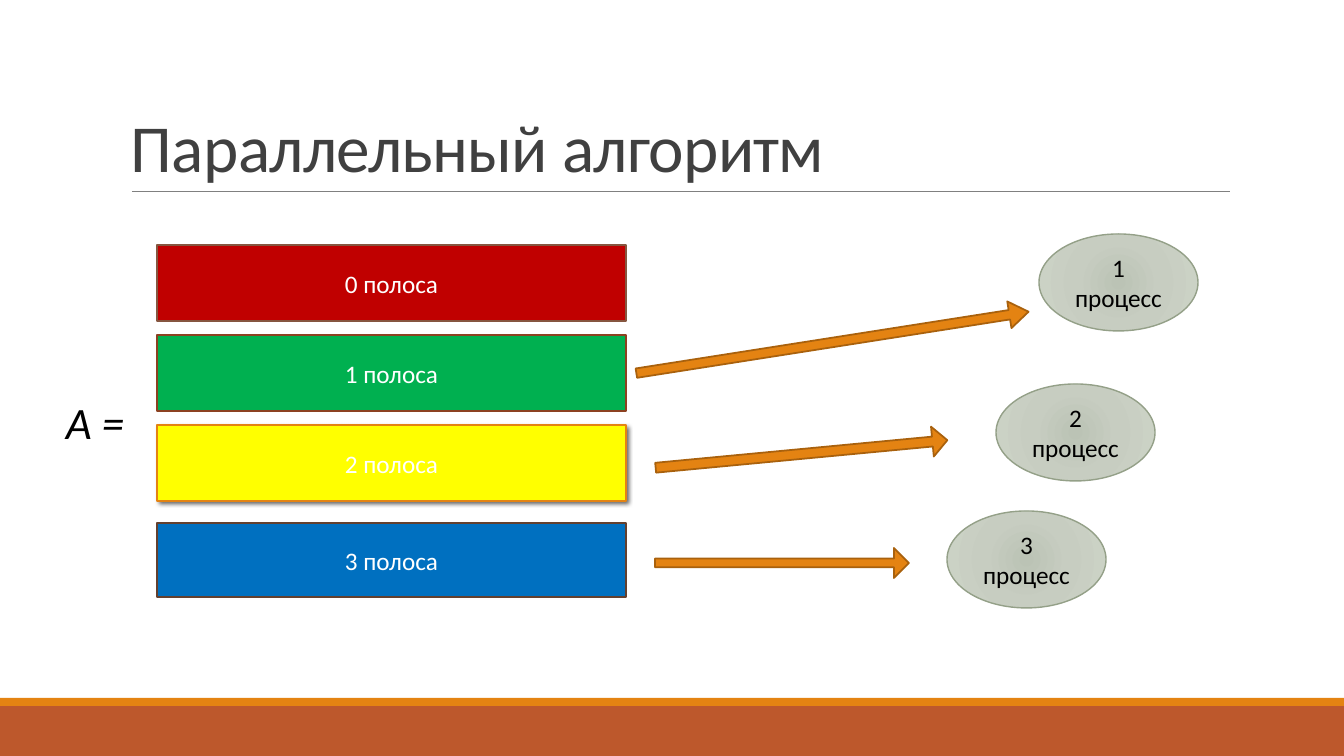
import pptx
import pptx.dml.color
import pptx.enum.shapes
import pptx.enum.text
import pptx.oxml
import pptx.oxml.ns
import pptx.util

RGBColor = pptx.dml.color.RGBColor
SHAPE = pptx.enum.shapes.MSO_SHAPE
ANCHOR = pptx.enum.text.MSO_ANCHOR
ALIGN = pptx.enum.text.PP_ALIGN

WHITE = RGBColor(0xFF, 0xFF, 0xFF)
BLACK = RGBColor(0x00, 0x00, 0x00)
TITLE_GRAY = RGBColor(0x40, 0x40, 0x40)
RULE_GRAY = RGBColor(0x80, 0x80, 0x80)
RUST = RGBColor(0xBD, 0x58, 0x2C)
ORANGE = RGBColor(0xE4, 0x83, 0x12)
DARK_ORANGE = RGBColor(0xA9, 0x61, 0x0D)
RED = RGBColor(0xC0, 0x00, 0x00)
RED_EDGE = RGBColor(0x86, 0x56, 0x40)
GREEN = RGBColor(0x00, 0xB0, 0x50)
GREEN_EDGE = RGBColor(0x8C, 0x41, 0x21)
YELLOW = RGBColor(0xFF, 0xFF, 0x00)
BLUE = RGBColor(0x00, 0x70, 0xC0)
BLUE_EDGE = RGBColor(0x63, 0x40, 0x2F)
SAGE_EDGE = RGBColor(0x94, 0xA0, 0x88)
SAGE_STOPS = {
    0: RGBColor(0xBB, 0xC3, 0xB5),
    45: RGBColor(0xC7, 0xCD, 0xC1),
    100: RGBColor(0xCD, 0xD4, 0xC7),
}
NAMESPACE = pptx.oxml.ns.nsdecls("a")


def px(length):
    return round(length * 914400 / 100.8)


class SlideBuilder:
    font_name = "Calibri"

    def __init__(self, presentation):
        self.slide = presentation.slides.add_slide(presentation.slide_layouts[6])

    def fill_text(self, shape, text, size, color, anchor, align, italic=False):
        frame = shape.text_frame
        frame.word_wrap = True
        frame.vertical_anchor = anchor
        paragraph = frame.paragraphs[0]
        paragraph.alignment = align
        run = paragraph.add_run()
        run.text = text
        formats = {"name": self.font_name, "size": pptx.util.Pt(size), "italic": italic}
        for name, value in formats.items():
            setattr(run.font, name, value)
        run.font.color.rgb = color
        return paragraph

    def text_box(self, box, text, size, color, anchor, italic=False):
        shape = self.slide.shapes.add_textbox(*map(px, box))
        return self.fill_text(shape, text, size, color, anchor, ALIGN.LEFT, italic)

    def title(self, box, text):
        paragraph = self.text_box(box, text, 48, TITLE_GRAY, ANCHOR.BOTTOM)
        paragraph.line_spacing = 0.85
        paragraph.runs[0].font._element.set("spc", "-50")

    def shape(self, kind, box, fill, edge=None, width=1.25):
        shape = self.slide.shapes.add_shape(kind, *map(px, box))
        shape.shadow.inherit = False
        shape.fill.solid()
        shape.fill.fore_color.rgb = fill
        if edge is None:
            shape.line.fill.background()
        else:
            shape.line.color.rgb = edge
            shape.line.width = pptx.util.Pt(width)
        return shape

    def rule(self, left, top, right):
        line = self.slide.shapes.add_connector(
            pptx.enum.shapes.MSO_CONNECTOR.STRAIGHT, px(left), px(top), px(right), px(top))
        line.line.color.rgb = RULE_GRAY
        line.line.width = pptx.util.Pt(0.5)
        line._element.spPr.append(pptx.oxml.parse_xml(f"<a:effectLst {NAMESPACE}/>"))

    def stripe(self, box, text, fill, edge, width):
        shape = self.shape(SHAPE.RECTANGLE, box, fill, edge, width)
        self.fill_text(shape, text, 18, WHITE, ANCHOR.MIDDLE, ALIGN.CENTER)
        return shape

    def cast_shadow(self, shape):
        effects = shape._element.spPr.find(pptx.oxml.ns.qn("a:effectLst"))
        effects.append(pptx.oxml.parse_xml(
            f'<a:outerShdw {NAMESPACE} blurRad="38100" dist="25400" dir="2700000" rotWithShape="0">'
            f'<a:srgbClr val="{BLACK}"><a:alpha val="60000"/></a:srgbClr></a:outerShdw>'))

    def process(self, box, text):
        shape = self.shape(SHAPE.OVAL, box, SAGE_STOPS[0], SAGE_EDGE, 1)
        stops = "".join(
            f'<a:gs pos="{position * 1000}"><a:srgbClr val="{color}"/></a:gs>'
            for position, color in SAGE_STOPS.items())
        gradient = pptx.oxml.parse_xml(
            f'<a:gradFill {NAMESPACE} rotWithShape="1"><a:gsLst>{stops}</a:gsLst>'
            '<a:path path="circle"><a:fillToRect l="100000" t="100000" r="100000" b="100000"/>'
            '</a:path></a:gradFill>')
        properties = shape._element.spPr
        properties.replace(properties.find(pptx.oxml.ns.qn("a:solidFill")), gradient)
        self.fill_text(shape, text, 18, BLACK, ANCHOR.MIDDLE, ALIGN.CENTER)

    def arrow(self, box, rotation, shaft, head):
        shape = self.shape(SHAPE.RIGHT_ARROW, box, ORANGE, DARK_ORANGE)
        shape.rotation = rotation
        shape.adjustments[0] = shaft
        shape.adjustments[1] = head


def main():
    presentation = pptx.Presentation()
    presentation.slide_width = px(1344)
    presentation.slide_height = px(756)
    builder = SlideBuilder(presentation)

    builder.shape(SHAPE.RECTANGLE, (0, 706, 1344, 50), RUST)
    builder.shape(SHAPE.RECTANGLE, (0, 698, 1344, 8), ORANGE)
    builder.rule(132, 191, 1230)
    builder.title((121, 31, 1109, 160), "Параллельный алгоритм")

    stripes = [
        (245, 76, RED, RED_EDGE, 1.25),
        (335, 76, GREEN, GREEN_EDGE, 1.25),
        (425, 76, YELLOW, ORANGE, 1),
        (523, 74, BLUE, BLUE_EDGE, 1.25),
    ]
    for number, (top, height, fill, edge, width) in enumerate(stripes):
        stripe = builder.stripe((157, top, 469, height), f"{number} полоса", fill, edge, width)
        if fill == YELLOW:
            builder.cast_shadow(stripe)

    builder.text_box((56, 390, 111, 65), "А =", 32, BLACK, ANCHOR.TOP, italic=True)

    for number, (left, top) in enumerate([(1039, 234), (996, 384), (947, 511)], 1):
        builder.process((left, top, 159, 97), f"{number} процесс")

    arrows = [
        ((634, 329, 397, 27), 351.1, 0.35, 0.72),
        ((655, 439, 293, 30), 354.6, 0.33, 0.5),
        ((655, 548, 254, 30), 0, 0.29, 0.5),
    ]
    for arrow in arrows:
        builder.arrow(*arrow)

    presentation.save("out.pptx")


if __name__ == "__main__":
    main()
